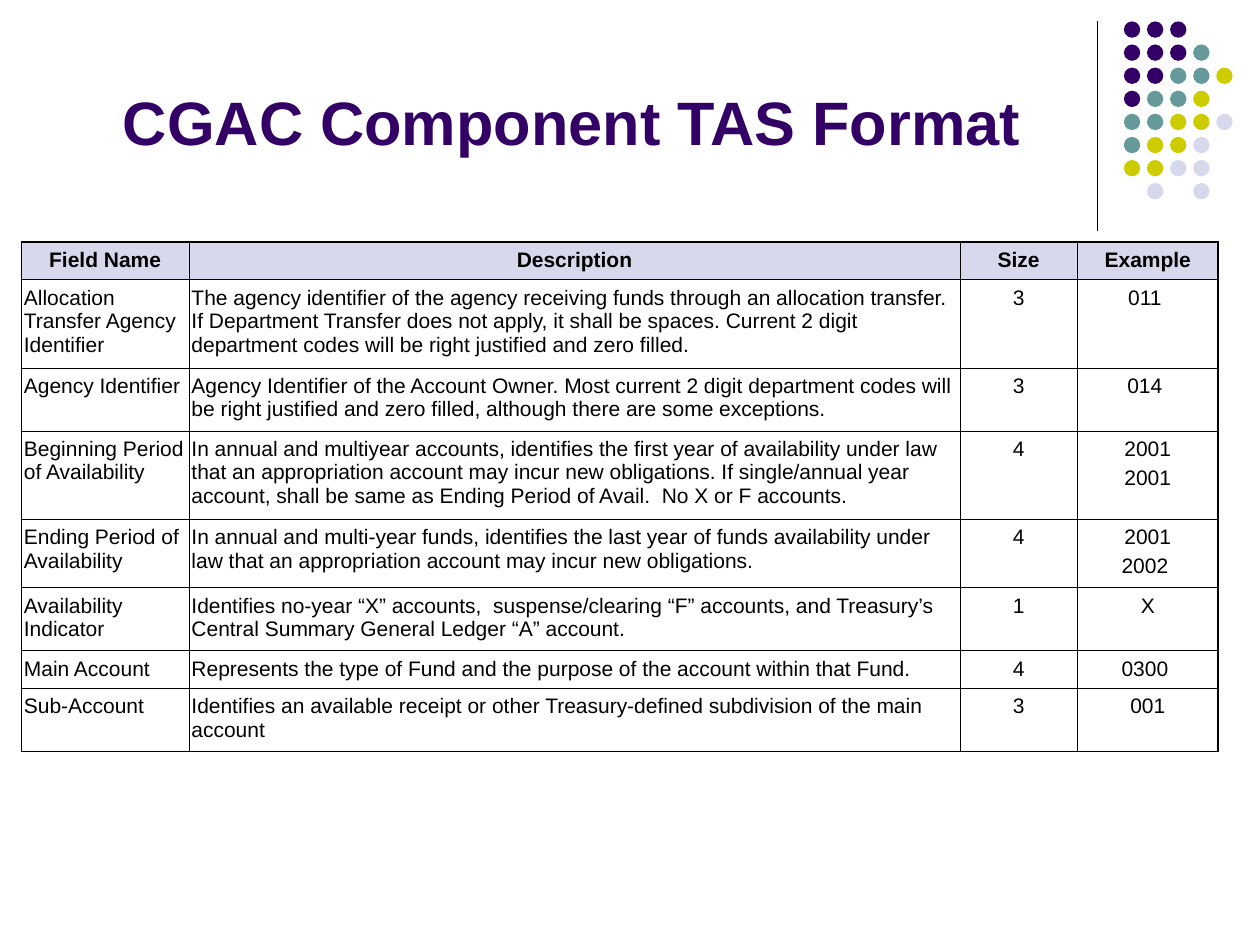
from dataclasses import dataclass, field

from lxml import etree
from pptx import Presentation
from pptx import util as u
from pptx.dml.color import RGBColor
from pptx.enum import shapes, text
from pptx.oxml import ns


@dataclass(frozen=True)
class Theme:
    font: str = "Arial"
    title_size: float = 35
    table_size: float = 12
    paragraph_gap: float = 3
    outer_line: float = 1.08
    inner_line: float = 0.45
    rule_line: float = 0.75
    ink: str = "000000"
    purple: str = "330066"
    header: str = "D8D8EC"
    dots: dict[str, str] = field(default_factory=lambda: {
        "P": "330066", "T": "669999", "Y": "CCCC00", "L": "D8D8EC"})


@dataclass(frozen=True)
class TasField:
    name: str
    description: str
    size: str
    example: str


THEME = Theme()
CENTER, LEFT = text.PP_ALIGN.CENTER, text.PP_ALIGN.LEFT

DOT_ROWS = ["PPP", "PPPT", "PPTTY", "PTTY", "TTYYL", "TYYL", "YYLL", " L L"]
DOT_LEFT, DOT_TOP, DOT_SIZE = 8.92, 0.17, 0.13
DOT_PITCH = 1.1 / 6

COLUMN_WIDTHS = [1.33, 6.12, 0.93, 1.12]
ROW_HEIGHTS = [0.3, 0.64, 0.44, 0.64, 0.48, 0.44, 0.3, 0.44]
WIDE_INSET, NARROW_INSET = 0.1, 0.02

TAS_FIELDS = [
    TasField("Field Name", "Description", "Size", "Example"),
    TasField("Allocation Transfer Agency Identifier",
             "The agency identifier of the agency receiving funds through an "
             "allocation transfer. If Department Transfer does not apply, it shall "
             "be spaces. Current 2 digit department codes will be right justified "
             "and zero filled.", "3", "011 "),
    TasField("Agency Identifier",
             "Agency Identifier of the Account Owner. Most current 2 digit "
             "department codes will be right justified and zero filled, although "
             "there are some exceptions.", "3", "014 "),
    TasField("Beginning Period of Availability",
             "In annual and multiyear accounts, identifies the first year of "
             "availability under law that an appropriation account may incur new "
             "obligations. If single/annual year account, shall be same as Ending "
             "Period of Avail.  No X or F accounts.", "4", "2001\n2001"),
    TasField("Ending Period of Availability",
             "In annual and multi-year funds, identifies the last year of funds "
             "availability under law that an appropriation account may incur new "
             "obligations.", "4", "2001\n2002 "),
    TasField("Availability Indicator",
             "Identifies no-year “X” accounts,  suspense/clearing “F” accounts, and "
             "Treasury’s Central Summary General Ledger “A” account.", "1", "X"),
    TasField("Main Account",
             "Represents the type of Fund and the purpose of the account within "
             "that Fund.", "4", "0300 "),
    TasField("Sub-Account",
             "Identifies an available receipt or other Treasury-defined subdivision "
             "of the main account", "3", "001"),
]


def apply_format(target, values: dict) -> None:
    for name, value in values.items():
        setattr(target, name, value)


def write_text(frame, words: str, size: float, color: str, bold: bool, align) -> None:
    for index, line in enumerate(words.split("\n")):
        para = frame.add_paragraph() if index else frame.paragraphs[0]
        apply_format(para, {"alignment": align})
        if index:
            para.space_before = u.Pt(THEME.paragraph_gap)
        span = para.add_run()
        span.text = line
        apply_format(span.font, {"name": THEME.font, "size": u.Pt(size), "bold": bold})
        span.font.color.rgb = RGBColor.from_string(color)


def draw_rule(page) -> None:
    rule = page.shapes.add_connector(
        shapes.MSO_CONNECTOR.STRAIGHT,
        u.Inches(8.71), u.Inches(0.17), u.Inches(8.71), u.Inches(1.83))
    rule.line.width = u.Pt(THEME.rule_line)
    rule.line.color.rgb = RGBColor.from_string(THEME.ink)
    etree.SubElement(rule._element.spPr, ns.qn("a:effectLst"))


def draw_dots(page) -> None:
    for row, letters in enumerate(DOT_ROWS):
        for column, letter in enumerate(letters):
            if letter not in THEME.dots:
                continue
            dot = page.shapes.add_shape(
                shapes.MSO_SHAPE.OVAL,
                u.Inches(DOT_LEFT + column * DOT_PITCH),
                u.Inches(DOT_TOP + row * DOT_PITCH),
                u.Inches(DOT_SIZE), u.Inches(DOT_SIZE))
            dot.shadow.inherit = False
            dot.fill.solid()
            dot.fill.fore_color.rgb = RGBColor.from_string(THEME.dots[letter])
            dot.line.fill.background()


def draw_title(page) -> None:
    box = page.shapes.add_textbox(
        u.Inches(0.83), u.Inches(0.5), u.Inches(7.42), u.Inches(0.92))
    apply_format(box.text_frame, {
        "word_wrap": True, "vertical_anchor": text.MSO_ANCHOR.MIDDLE})
    write_text(box.text_frame, "CGAC Component TAS Format",
               THEME.title_size, THEME.purple, True, CENTER)


def set_borders(cell, outer_sides: dict[str, bool]) -> None:
    properties = cell._tc.get_or_add_tcPr()
    for side, is_outer in outer_sides.items():
        width = THEME.outer_line if is_outer else THEME.inner_line
        line = etree.SubElement(properties, ns.qn(f"a:ln{side}"), w=str(u.Pt(width)))
        fill = etree.SubElement(line, ns.qn("a:solidFill"))
        etree.SubElement(fill, ns.qn("a:srgbClr"), val=THEME.ink)


def draw_table(page) -> None:
    row_count, column_count = len(ROW_HEIGHTS), len(COLUMN_WIDTHS)
    table = page.shapes.add_table(
        row_count, column_count, u.Inches(0.17), u.Inches(1.92),
        u.Inches(sum(COLUMN_WIDTHS)), u.Inches(sum(ROW_HEIGHTS))).table
    apply_format(table, {"first_row": False, "horz_banding": False})
    for column, width in zip(table.columns, COLUMN_WIDTHS):
        column.width = u.Inches(width)
    for row, height in zip(table.rows, ROW_HEIGHTS):
        row.height = u.Inches(height)

    for row, entry in enumerate(TAS_FIELDS):
        is_header = row == 0
        values = (entry.name, entry.description, entry.size, entry.example)
        for column, words in enumerate(values):
            cell = table.cell(row, column)
            inset = WIDE_INSET if is_header or column == 2 else NARROW_INSET
            apply_format(cell, {
                "margin_left": u.Inches(inset), "margin_right": u.Inches(inset),
                "margin_top": u.Inches(0.05), "margin_bottom": u.Inches(0.05),
                "vertical_anchor": text.MSO_ANCHOR.TOP})
            set_borders(cell, {
                "L": column == 0, "R": column == column_count - 1,
                "T": is_header, "B": row == row_count - 1})
            if is_header:
                cell.fill.solid()
                cell.fill.fore_color.rgb = RGBColor.from_string(THEME.header)
            else:
                cell.fill.background()
            align = CENTER if is_header or column >= 2 else LEFT
            write_text(cell.text_frame, words, THEME.table_size,
                       THEME.ink, is_header, align)


def main() -> None:
    deck = Presentation()
    apply_format(deck, {"slide_width": u.Inches(10), "slide_height": u.Inches(7.5)})
    page = deck.slides.add_slide(deck.slide_layouts[6])
    draw_rule(page)
    draw_dots(page)
    draw_title(page)
    draw_table(page)
    deck.save("out.pptx")


if __name__ == "__main__":
    main()
